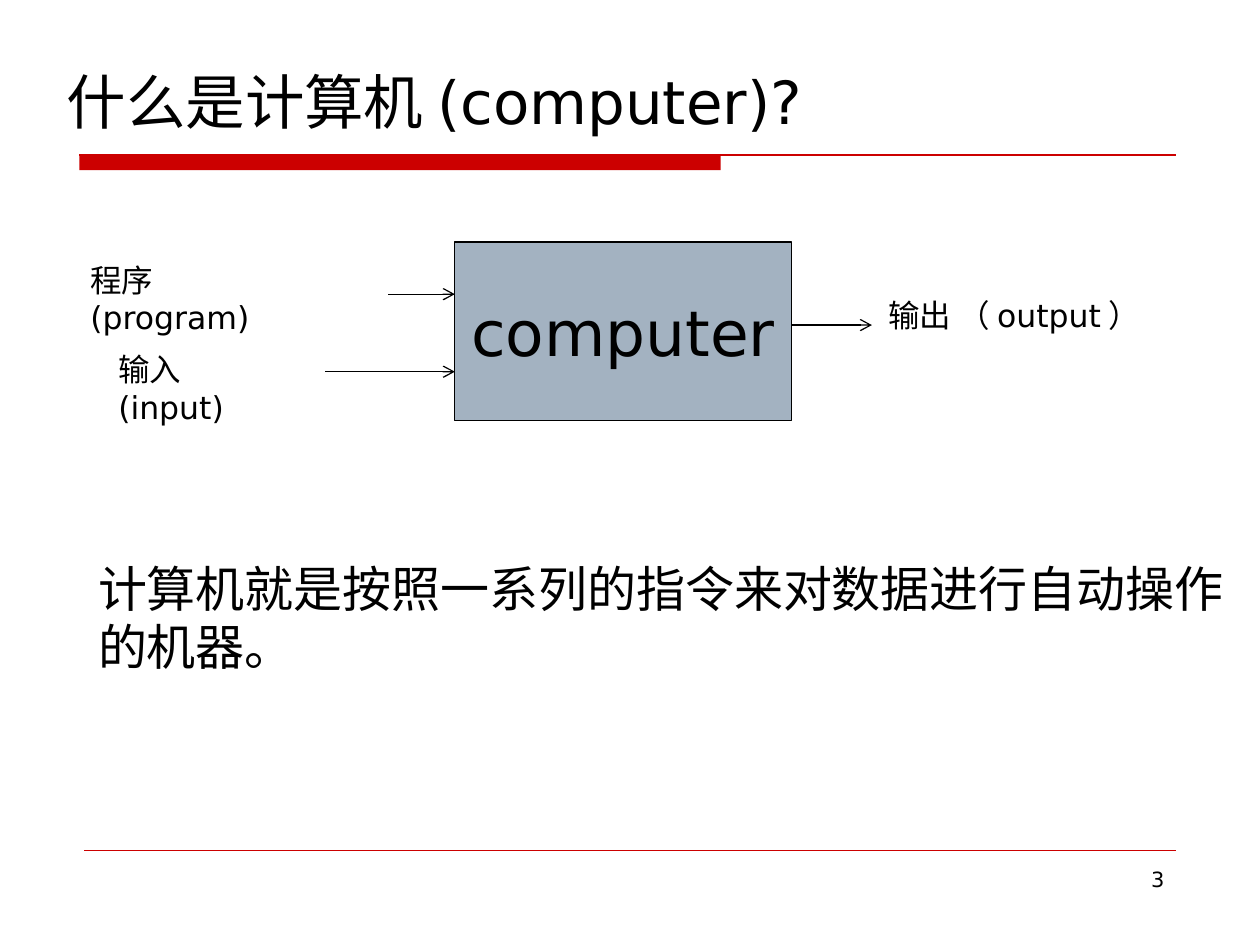
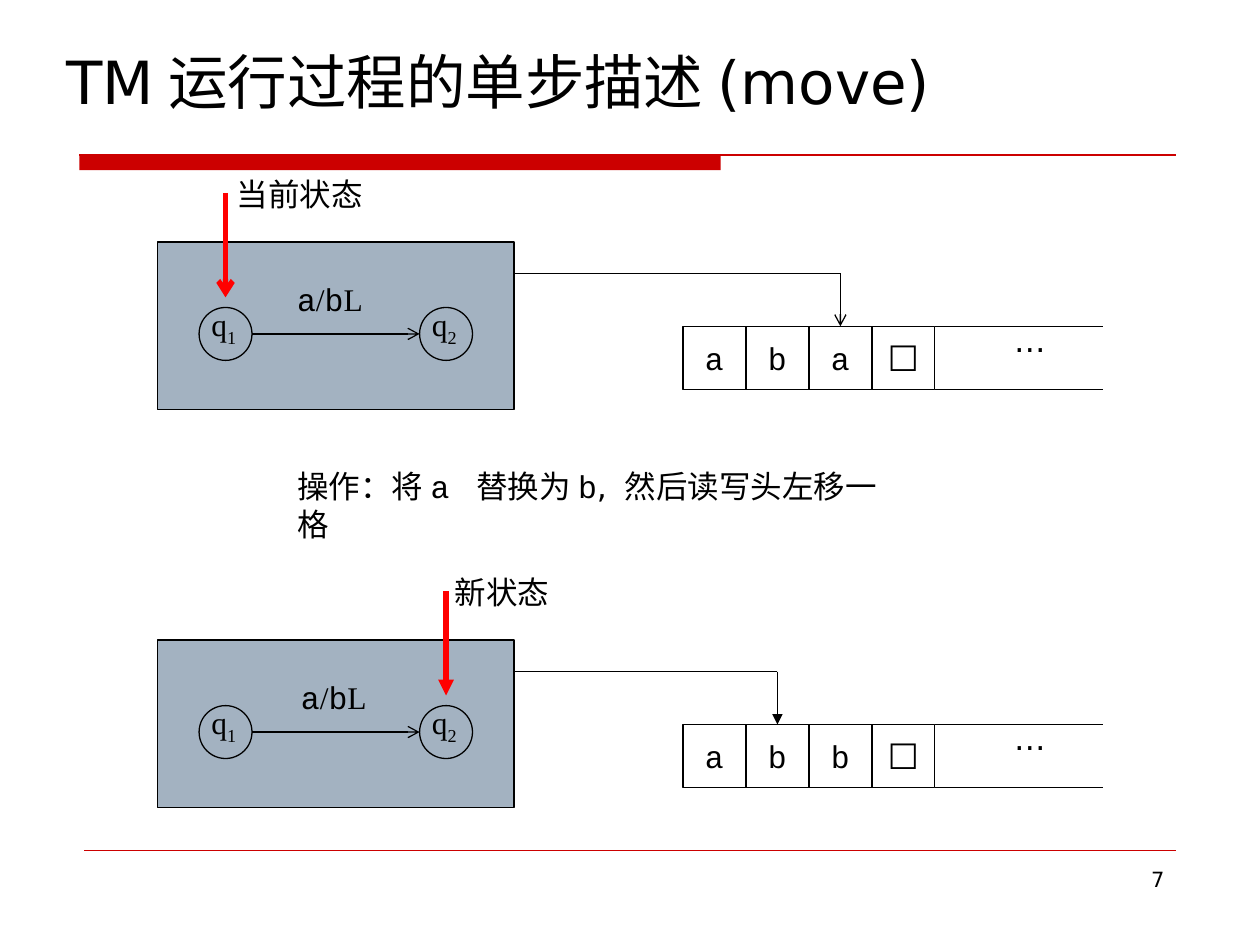
from lxml import etree
from pptx import Presentation
from pptx.dml.color import RGBColor
from pptx.enum import shapes, text
from pptx.oxml.ns import qn
from pptx.util import Inches, Pt

COLORS = {"ink": "000000", "rule": "CC0000", "box": "A3B2C1", "pointer": "FF0000"}
SANS, MONO, SERIF, SYMBOL = "DejaVu Sans", "Courier New", "Times New Roman", "Arial"
LEFT, CENTER, RIGHT = text.PP_ALIGN.LEFT, text.PP_ALIGN.CENTER, text.PP_ALIGN.RIGHT
RECT, OVAL = shapes.MSO_SHAPE.RECTANGLE, shapes.MSO_SHAPE.OVAL
CELL = 0.5
TAPE_LEFT = 5.42
CIRCLE = 0.42


def rgb(name):
    return RGBColor.from_string(COLORS[name])


def format_run(r, size, font):
    r.font.size = Pt(size)
    r.font.name = font
    r.font.color.rgb = rgb("ink")


def format_text(tf, size, font, align):
    for p in tf.paragraphs:
        p.alignment = align
        for r in p.runs:
            format_run(r, size, font)


# Basic elements
def add_text(parent, content, left, top, width, height=0.4, size=18,
             align=LEFT, wrap=False):
    """Content is a string, or a list of (text, font) pieces on one line."""
    tf = parent.add_textbox(*map(Inches, (left, top, width, height))).text_frame
    tf.word_wrap = wrap
    if isinstance(content, str):
        tf.text = content
        format_text(tf, size, SANS, align)
    else:
        for piece, font in content:
            r = tf.paragraphs[0].add_run()
            r.text = piece
            format_run(r, size, font)
    return tf


def add_box(parent, kind, left, top, width, height, fill=None, line="ink"):
    sp = parent.add_shape(kind, *map(Inches, (left, top, width, height)))
    sp.shadow.inherit = False
    if fill:
        sp.fill.solid()
        sp.fill.fore_color.rgb = rgb(fill)
    else:
        sp.fill.background()
    if line:
        sp.line.color.rgb = rgb(line)
        sp.line.width = Pt(0.75)
    else:
        sp.line.fill.background()
    return sp


def label_box(sp, content, size, font):
    tf = sp.text_frame
    tf.text = content
    tf.vertical_anchor = text.MSO_ANCHOR.MIDDLE
    format_text(tf, size, font, CENTER)


def add_line(parent, x1, y1, x2, y2, color="ink", width=0.75, head=None):
    line = parent.add_connector(shapes.MSO_CONNECTOR.STRAIGHT,
                                *map(Inches, (x1, y1, x2, y2)))
    line.line.color.rgb = rgb(color)
    line.line.width = Pt(width)
    if head:
        etree.SubElement(line.line._get_or_add_ln(), qn("a:tailEnd"), type=head)
    etree.SubElement(line._element.spPr, qn("a:effectLst"))
    return line


# Frame shared by the slides
def add_slide(prs, title, title_top, number):
    s = prs.slides.add_slide(prs.slide_layouts[5])
    add_box(s.shapes, RECT, 0.63, 1.23, 5.09, 0.12, fill="rule", line=None)
    add_line(s.shapes, 0.63, 1.23, 9.33, 1.23, "rule")
    add_line(s.shapes, 0.67, 6.75, 9.33, 6.75, "rule", 0.25)
    add_text(s.shapes, str(number), 7.17, 6.83, 2.17, 0.52, 12, RIGHT, wrap=True)

    sp = s.shapes.title
    sp.left, sp.top, sp.width, sp.height = map(Inches, (0.43, title_top, 9.14, 0.72))
    tf = sp.text_frame
    tf.text = title
    tf.auto_size = text.MSO_AUTO_SIZE.NONE
    tf.vertical_anchor = text.MSO_ANCHOR.MIDDLE
    format_text(tf, 34, SANS, LEFT)
    return s


# Turing machine parts
def add_state(parent, index, left, top):
    add_box(parent, OVAL, left, top, CIRCLE, CIRCLE)
    tf = add_text(parent, [("q", SERIF), (str(index), SERIF)],
                  left, top - 0.07, 0.43, 0.44)
    tf.paragraphs[0].runs[1].font._element.set("baseline", "-25000")


def add_tape(parent, symbols, top):
    cells = []
    for i, symbol in enumerate(symbols):
        cell = add_box(parent, RECT, TAPE_LEFT + i * CELL, top, CELL, CELL)
        label_box(cell, symbol, *((20, SYMBOL) if symbol == "☐" else (18, MONO)))
        cells.append(cell)
    end = TAPE_LEFT + len(symbols) * CELL
    for y in (top, top + CELL):
        add_line(parent, end, y, end + 1.33, y)
    add_text(parent, "…", end + 0.53, top - 0.09, 0.4)
    return cells


def add_machine(parent, top, symbols, head_cell, active, caption, caption_left,
                caption_width, rule_left, head):
    add_box(parent, RECT, 1.25, top, 2.83, 1.33, fill="box")

    # States and the transition between them
    state_lefts = (1.58, 3.33)
    state_top = top + 0.52
    for i, left in enumerate(state_lefts, 1):
        add_state(parent, i, left, state_top)
    middle = state_top + CIRCLE / 2
    add_line(parent, state_lefts[0] + CIRCLE, middle, state_lefts[1], middle,
             head="arrow")
    add_text(parent, [("a", MONO), ("/", SERIF), ("b", MONO), ("L", SERIF)],
             rule_left, top + 0.25, 0.73)

    # Tape and read-write head
    cells = add_tape(parent, symbols, top + 0.67)
    head_x = TAPE_LEFT + (head_cell + 0.5) * CELL
    head_y = top + 0.25
    add_line(parent, head_x, head_y, 4.08, head_y)
    arrow = add_line(parent, head_x, head_y, head_x, top + 0.67, head=head)
    arrow.end_connect(cells[head_cell], 0)

    # Pointer to the active state
    x = state_lefts[active] + CIRCLE / 2
    add_line(parent, x, top - 0.39, x, top + 0.44, "pointer", 3, head)
    add_text(parent, caption, caption_left, top - 0.58, caption_width)


# Slides
def add_computer_slide(prs):
    s = add_slide(prs, "什么是计算机(computer)?", 0.44, 3)
    add_text(s.shapes, "计算机就是按照一系列的指令来对数据进行自动操作\n的机器。",
             0.68, 4.38, 9.13, 1.04, 28)
    computer = add_box(s.shapes, RECT, 3.61, 1.92, 2.67, 1.42, fill="box")
    label_box(computer, "computer", 36, SANS)
    for x1, x2, y in ((2.58, 3.61, 2.95), (3.08, 3.61, 2.335), (6.28, 6.92, 2.58)):
        add_line(s.shapes, x1, y, x2, y, head="arrow")
    add_text(s.shapes, "输入(input)", 0.84, 2.73, 1.55, wrap=True)
    add_text(s.shapes, "程序(program)", 0.62, 2.02, 1.94, wrap=True)
    add_text(s.shapes, "输出 （output）", 6.95, 2.3, 2.23)


def add_move_slide(prs):
    s = add_slide(prs, "TM运行过程的单步描述(move)", 0.28, 7)
    add_machine(s.shapes, 1.92, "aba☐", 2, 0, "当前状态", 1.78, 1.2, 2.26, "arrow")
    add_text(s.shapes, [("操作：将", SANS), ("a ", MONO), ("替换为", SANS),
                        ("b", MONO), (", 然后读写头左移一格", SANS)],
             2.26, 3.66, 4.92, wrap=True)
    after = s.shapes.add_group_shape().shapes
    add_machine(after, 5.08, "abb☐", 1, 1, "新状态", 3.51, 0.95, 2.29, "triangle")


def main():
    prs = Presentation()
    prs.slide_width, prs.slide_height = Inches(10), Inches(7.5)
    add_computer_slide(prs)
    add_move_slide(prs)
    prs.save("out.pptx")


if __name__ == "__main__":
    main()
